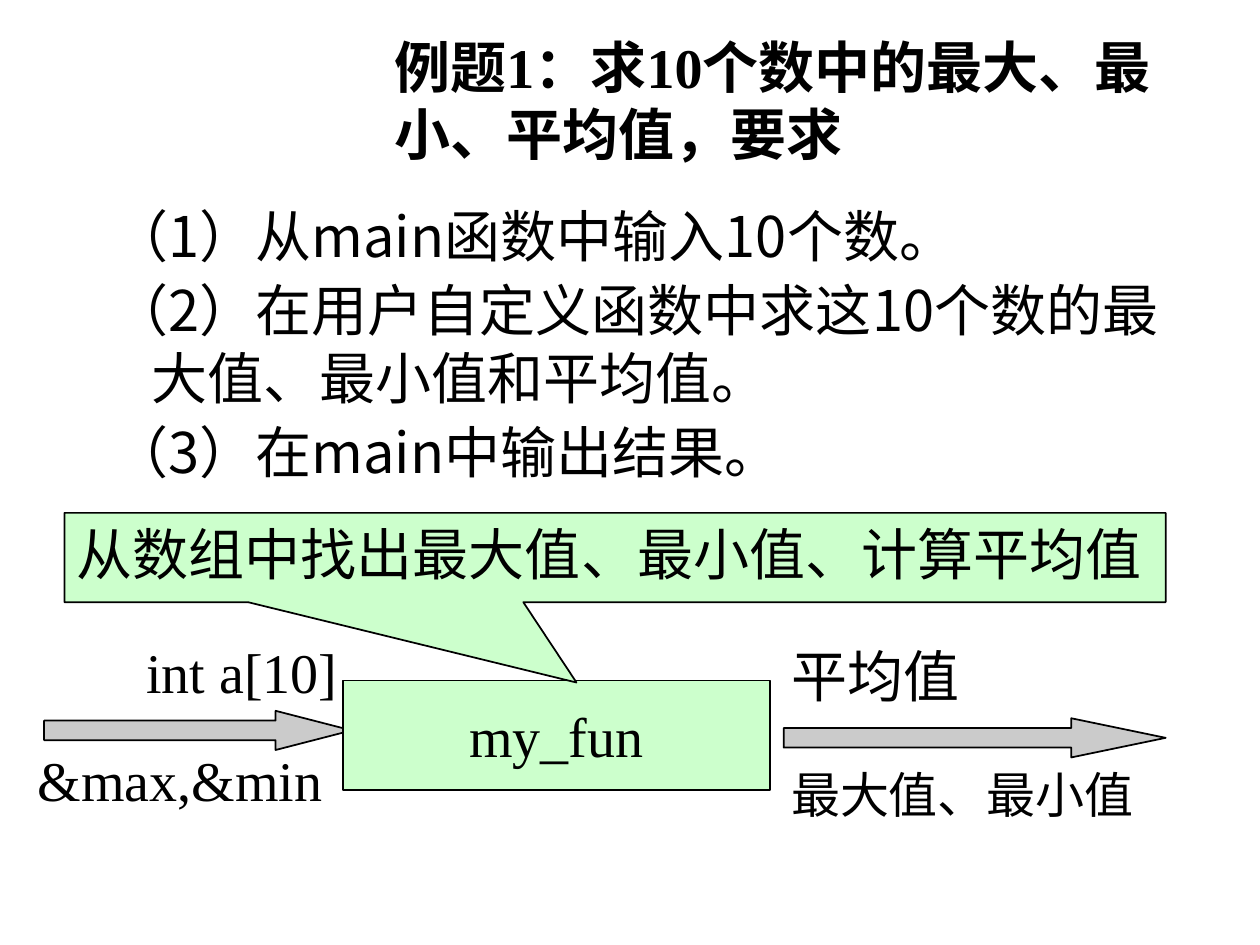
from dataclasses import dataclass

from lxml.etree import SubElement
from pptx import Presentation
from pptx.dml.color import RGBColor
from pptx.enum.shapes import MSO_SHAPE
from pptx.enum.text import MSO_ANCHOR, PP_ALIGN
from pptx.oxml.ns import qn
from pptx.util import Cm, Pt


@dataclass(frozen=True)
class Theme:
    ink: RGBColor = RGBColor(0, 0, 0)
    paper: RGBColor = RGBColor(255, 255, 255)
    mint: RGBColor = RGBColor(0xCC, 0xFF, 0xCC)
    grey: RGBColor = RGBColor(0xCB, 0xCB, 0xCB)
    serif: str = "Times New Roman"
    sans: str = "Noto Sans CJK SC"
    size: int = 32
    small: int = 28
    line: int = 1


class Board:
    def __init__(self, slide, theme):
        self.shapes = slide.shapes
        self.theme = theme

    def letter(self, shape, lines, size=None, font=None, bold=False,
               wrap=True, align=PP_ALIGN.LEFT, anchor=MSO_ANCHOR.TOP):
        """Put styled lines of text into a shape."""
        frame = shape.text_frame
        frame.text = "\n".join(lines)
        frame.word_wrap = wrap
        frame.vertical_anchor = anchor
        for para in frame.paragraphs:
            para.alignment = align
            for run in para.runs:
                run.font.size = Pt(size or self.theme.size)
                run.font.bold = bold
                run.font.color.rgb = self.theme.ink
                run.font.name = font or self.theme.serif
                east = SubElement(run._r.get_or_add_rPr(), qn("a:ea"))
                east.set("typeface", self.theme.sans)

    def label(self, box, text, **style):
        shape = self.shapes.add_textbox(*map(Cm, box))
        self.letter(shape, [text], **style)

    def steps(self, box, lines):
        """Add paragraphs with a hanging indent."""
        shape = self.shapes.add_textbox(*map(Cm, box))
        self.letter(shape, lines, font=self.theme.sans)
        for i, para in enumerate(shape.text_frame.paragraphs):
            props = para._p.get_or_add_pPr()
            props.set("marL", str(Cm(2.29)))
            props.set("indent", str(Cm(-0.79)))
            para.space_before = Pt(4 if i else 0)

    def block(self, kind, box, fill, adjust=(), edge=True):
        shape = self.shapes.add_shape(kind, *map(Cm, box))
        shape.shadow.inherit = False
        shape.fill.solid()
        shape.fill.fore_color.rgb = fill
        if edge:
            shape.line.color.rgb = self.theme.ink
            shape.line.width = Pt(self.theme.line)
        else:
            shape.line.fill.background()
        for i, value in enumerate(adjust):
            shape.adjustments[i] = value
        return shape

    def arrow(self, box, head):
        self.block(MSO_SHAPE.RIGHT_ARROW, box, self.theme.grey, (0.5, head))


def main():
    deck = Presentation()
    deck.slide_width, deck.slide_height = Cm(25.4), Cm(19.05)
    theme = Theme()
    board = Board(deck.slides.add_slide(deck.slide_layouts[6]), theme)

    board.steps((0.51, 3.94, 24.2, 6.2), [
        "（1）从main函数中输入10个数。",
        "（2）在用户自定义函数中求这10个数的最大值、最小值和平均值。",
        "（3）在main中输出结果。",
    ])

    board.arrow((0.89, 14.33, 6.2, 0.79), 1.94)
    board.label((2.7, 12.73, 4.37, 1.63), "int a[10]", wrap=False)

    func = board.block(MSO_SHAPE.RECTANGLE, (6.91, 13.72, 8.61, 2.21), theme.mint)
    board.letter(func, ["my_fun"], wrap=False,
                 align=PP_ALIGN.CENTER, anchor=MSO_ANCHOR.MIDDLE)
    task = board.block(MSO_SHAPE.RECTANGULAR_CALLOUT, (1.3, 10.34, 22.2, 1.8),
                       theme.mint, (-0.035, 1.4))
    board.letter(task, ["从数组中找出最大值、最小值、计算平均值"])

    board.label((15.7, 12.8, 8.61, 1.63), "平均值")
    board.arrow((15.8, 14.48, 7.7, 0.79), 2.41)

    title = board.block(MSO_SHAPE.RECTANGLE, (7.7, 0.53, 16.79, 2.97),
                        theme.paper, edge=False)
    board.letter(title, ["例题1：求10个数中的最大、最小、平均值，要求"], bold=True)

    board.label((15.7, 15.29, 7.42, 1.45), "最大值、最小值", size=theme.small)
    board.label((0.51, 14.91, 6.25, 1.63), "&max,&min", wrap=False)

    deck.save("out.pptx")


if __name__ == "__main__":
    main()
